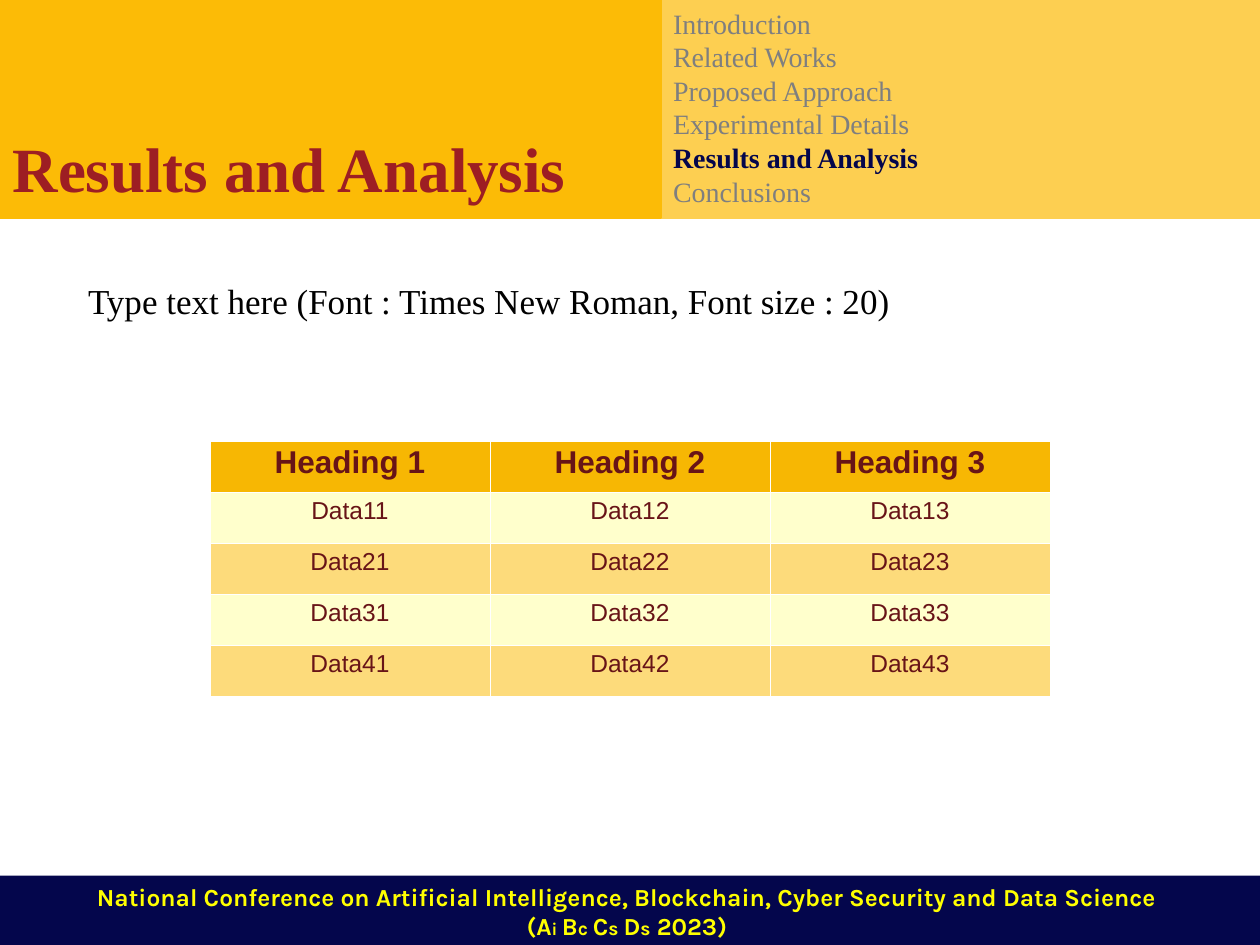
from lxml import etree
from pptx import Presentation
from pptx.dml.color import RGBColor
from pptx.enum.shapes import MSO_SHAPE
from pptx.enum.text import MSO_ANCHOR, MSO_AUTO_SIZE, PP_ALIGN
from pptx.oxml.ns import qn
from pptx.util import Pt

RECTANGLE = MSO_SHAPE.RECTANGLE
TOP = MSO_ANCHOR.TOP
FIT_SHAPE = MSO_AUTO_SIZE.SHAPE_TO_FIT_TEXT
LEFT, CENTER = PP_ALIGN.LEFT, PP_ALIGN.CENTER
TITLE_ONLY = 5

GOLD = RGBColor(0xFC, 0xBB, 0x06)
LIGHT_GOLD = RGBColor(0xFD, 0xCF, 0x51)
HEADER_GOLD = RGBColor(0xF7, 0xB7, 0x03)
BAND_GOLD = RGBColor(0xFD, 0xDB, 0x7B)
CREAM = RGBColor(0xFF, 0xFF, 0xCC)
NAVY = RGBColor(0x04, 0x06, 0x4C)
RED = RGBColor(0x9D, 0x1E, 0x23)
MAROON = RGBColor(0x68, 0x14, 0x17)
GRAY = RGBColor(0x7F, 0x7F, 0x7F)
BLACK = RGBColor(0, 0, 0)
WHITE = RGBColor(0xFF, 0xFF, 0xFF)
YELLOW = RGBColor(0xFF, 0xFF, 0)

SERIF, SANS, FOOTER_FONT = "Times New Roman", "Arial", "Karla"
TITLE = "Results and Analysis"
SECTIONS = ["Introduction", "Related Works", "Proposed Approach",
            "Experimental Details", TITLE, "Conclusions"]
ROWS = [[f"Heading {col}" for col in range(1, 4)]] + [
    [f"Data{row}{col}" for col in range(1, 4)] for row in range(1, 5)]
CONFERENCE = ("National Conference on Artificial Intelligence, Blockchain, "
              "Cyber Security and Data Science ")
SHORT_NAME = [("(A", 14), ("i ", 10), ("B", 14), ("c ", 11), ("C", 14),
              ("s ", 11), ("D", 14), ("s", 11), (" 2023) ", 14)]


def format_paragraph(p, font, size, color, bold=False, align=LEFT):
    p.alignment = align
    p.font.name = font
    p.font.size = Pt(size)
    p.font.color.rgb = color
    p.font.bold = bold


def add_block(s, x, y, w, h, fill, line=None):
    sp = s.shapes.add_shape(RECTANGLE, Pt(x), Pt(y), Pt(w), Pt(h))
    sp.shadow.inherit = False
    sp.fill.solid()
    sp.fill.fore_color.rgb = fill
    if line is None:
        sp.line.fill.background()
    else:
        sp.line.color.rgb = line
        sp.line.width = Pt(2)
    return sp


def add_text(s, x, y, w, h, lines, size, color, current=None, wrap=True):
    sp = s.shapes.add_textbox(Pt(x), Pt(y), Pt(w), Pt(h))
    tf = sp.text_frame
    tf.word_wrap = wrap
    tf.auto_size = FIT_SHAPE
    tf.text = "\n".join(lines)
    for p in tf.paragraphs:
        active = p.text == current
        format_paragraph(p, SERIF, size, NAVY if active else color, active)
    return sp


def place_title(s, below):
    sp = s.shapes.title
    sp.left, sp.top, sp.width, sp.height = Pt(0), Pt(70.5), Pt(377), Pt(50.5)
    tf = sp.text_frame
    tf.text = TITLE
    tf.vertical_anchor = TOP
    tf.auto_size = FIT_SHAPE
    format_paragraph(tf.paragraphs[0], SERIF, 36, RED, True)
    below.element.addnext(sp.element)


def set_borders(cell, widths):
    tc_pr = cell._tc.get_or_add_tcPr()
    for i, (side, width) in enumerate(widths.items()):
        ln = etree.Element(qn(f"a:ln{side}"), w=str(Pt(width)))
        fill = etree.SubElement(ln, qn("a:solidFill"))
        etree.SubElement(fill, qn("a:srgbClr"), val=str(WHITE))
        tc_pr.insert(i, ln)


def add_results_table(s, x, y, w, h):
    frame = s.shapes.add_table(len(ROWS), len(ROWS[0]), Pt(x), Pt(y), Pt(w), Pt(h))
    for i, row in enumerate(ROWS):
        header = i == 0
        fill = HEADER_GOLD if header else CREAM if i % 2 else BAND_GOLD
        widths = {"L": 0.23, "R": 0.23, "T": 0.75 if i == 1 else 0.23,
                  "B": 0.75 if header else 0.23}
        for j, text in enumerate(row):
            cell = frame.table.cell(i, j)
            cell.text = text
            cell.fill.solid()
            cell.fill.fore_color.rgb = fill
            p = cell.text_frame.paragraphs[0]
            format_paragraph(p, SANS, 18 if header else 14, MAROON, header, CENTER)
            p.line_spacing = 0.94
            set_borders(cell, widths)


def add_footer(s):
    sp = add_block(s, 0, 500.4, 720, 41, NAVY)
    tf = sp.text_frame
    tf.word_wrap = True
    tf.auto_size = FIT_SHAPE
    tf.vertical_anchor = TOP
    tf.text = CONFERENCE
    p = tf.add_paragraph()
    for text, size in SHORT_NAME:
        r = p.add_run()
        r.text = text
        r.font.size = Pt(size)
    for p in tf.paragraphs:
        format_paragraph(p, FOOTER_FONT, 14, YELLOW, True, CENTER)


def main():
    prs = Presentation()
    prs.slide_width, prs.slide_height = Pt(720), Pt(540)
    s = prs.slides.add_slide(prs.slide_layouts[TITLE_ONLY])
    add_block(s, 378, 0, 342, 124, LIGHT_GOLD, LIGHT_GOLD)
    add_block(s, 0, 0, 377.5, 124, GOLD, GOLD)
    sections = add_text(s, 377.5, 0, 264, 122.5, SECTIONS, 16, GRAY, TITLE)
    place_title(s, sections)
    add_text(s, 43.2, 156.2, 475, 31.5,
             ["Type text here (Font : Times New Roman, Font size : 20)"],
             20, BLACK, wrap=False)
    add_results_table(s, 120, 252, 480, 146)
    add_footer(s)
    prs.save("out.pptx")


if __name__ == "__main__":
    main()
